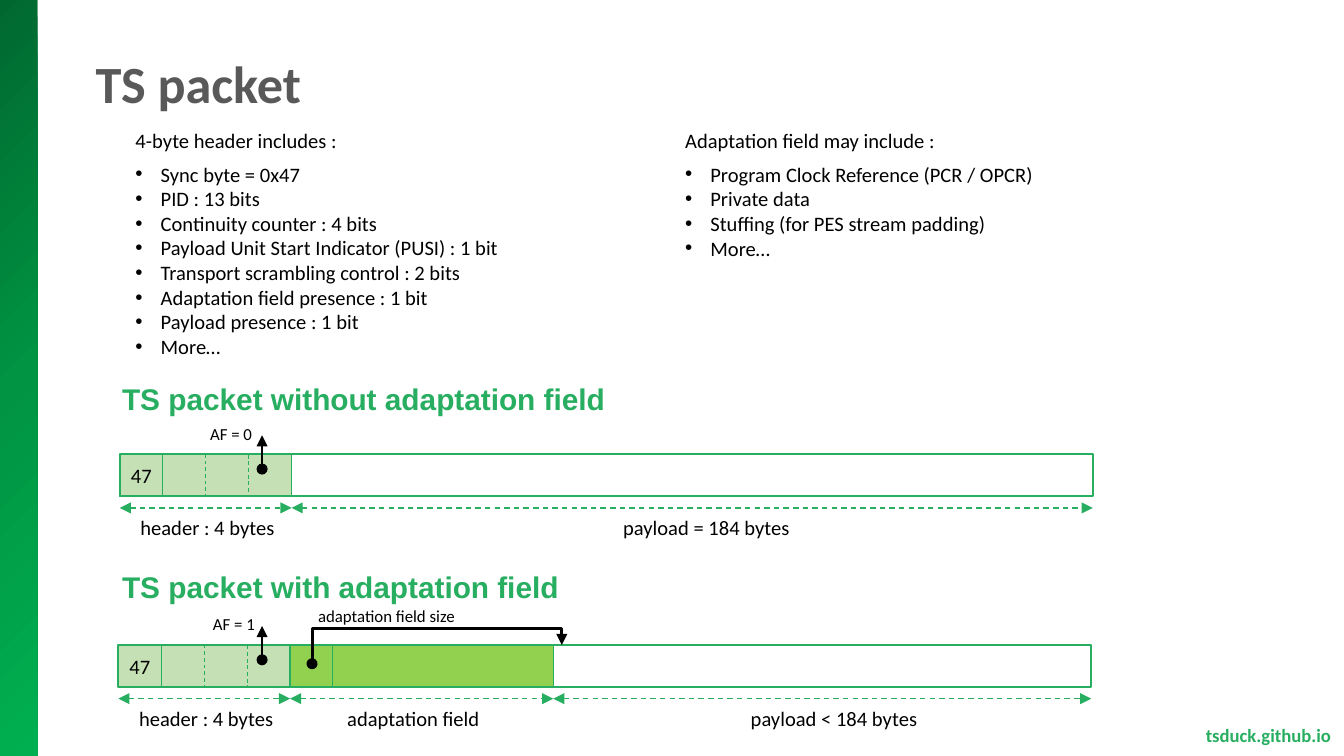
import copy
import pptx
import pptx.util
import pptx.oxml.ns
import pptx.dml.color
import pptx.enum.text
import pptx.enum.shapes
import pptx.enum.dml

Pt = pptx.util.Pt
qn = pptx.oxml.ns.qn
ALIGN = pptx.enum.text.PP_ALIGN
MID = pptx.enum.text.MSO_ANCHOR.MIDDLE
KIND = pptx.enum.shapes.MSO_CONNECTOR
RECT = pptx.enum.shapes.MSO_SHAPE.RECTANGLE
DASH = pptx.enum.dml.MSO_LINE.DASH

# Content
COLORS = {"green": "27AE60", "pale": "C5E0B4", "lime": "92D050",
          "black": "000000", "gray": "595959"}
SIDE = ["00682F", "009443", "00B050"]
TITLE = "TS packet"
SITE = "tsduck.github.io"
LISTS = [
    (65.5, 131.8, "4-byte header includes :", [
        "Sync byte = 0x47", "PID : 13 bits", "Continuity counter : 4 bits",
        "Payload Unit Start Indicator (PUSI) : 1 bit",
        "Transport scrambling control : 2 bits",
        "Adaptation field presence : 1 bit", "Payload presence : 1 bit",
        "More…"]),
    (360, 78.5, "Adaptation field may include :", [
        "Program Clock Reference (PCR / OPCR)", "Private data",
        "Stuffing (for PES stream padding)", "More…"]),
]
# Spans hold the end offset, the label, its centre and its width
PACKETS = [
    {"head": "TS packet without adaptation field", "head_y": 200.2,
     "left": 64.2, "top": 243.4, "flag": "AF = 0", "flag_x": 91.4,
     "field": False,
     "spans": [(92, "header : 4 bytes", 111.2, 113),
               (521.2, "payload = 184 bytes", 378.4, 130.3)]},
    {"head": "TS packet with adaptation field", "head_y": 301,
     "left": 63.4, "top": 345.6, "flag": "AF = 1", "flag_x": 92.9,
     "field": True,
     "spans": [(92, "header : 4 bytes", 110.5, 113),
               (233, "adaptation field", 221.4, 130.3),
               (521.2, "payload < 184 bytes", 446.8, 130.3)]},
]
CELL, HIGH, FULL = 23, 22.5, 521.2

deck = pptx.Presentation()
deck.slide_width, deck.slide_height = Pt(720), Pt(405)
slide = deck.slides.add_slide(deck.slide_layouts[5])
shapes = slide.shapes


def color(name):
    return pptx.dml.color.RGBColor.from_string(COLORS[name])


def style(para, size, ink="black", bold=False, font="Calibri", align=ALIGN.LEFT):
    para.alignment = align
    for run in para.runs:
        run.font.size, run.font.name, run.font.bold = Pt(size), font, bold
        run.font.color.rgb = color(ink)


def box(x, y, w, h, fill=None, line=0.5, dash=False):
    shape = shapes.add_shape(RECT, Pt(x), Pt(y), Pt(w), Pt(h))
    shape.shadow.inherit = False
    if fill:
        shape.fill.solid()
        shape.fill.fore_color.rgb = color(fill)
    else:
        shape.fill.background()
    shape.line.color.rgb = color("green")
    shape.line.width = Pt(line)
    if dash:
        shape.line.dash_style = DASH
    return shape


def text(x, y, w, h, words, size, pad=3.6, **look):
    frame = shapes.add_textbox(Pt(x), Pt(y), Pt(w), Pt(h)).text_frame
    frame.word_wrap = True
    frame.margin_top = frame.margin_bottom = Pt(pad)
    frame.text = words
    style(frame.paragraphs[0], size, **look)
    return frame


def arrow(x1, y1, x2, y2, ink, width, head, dash=False, kind=KIND.STRAIGHT):
    line = shapes.add_connector(kind, Pt(x1), Pt(y1), Pt(x2), Pt(y2))
    line.line.color.rgb = color(ink)
    line.line.width = Pt(width)
    if dash:
        line.line.dash_style = DASH
    ln = line.line._get_or_add_ln()
    for tag, end in (("a:headEnd", head), ("a:tailEnd", "triangle")):
        ln.append(ln.makeelement(qn(tag), {"type": end}))
    props = line._element.spPr
    props.append(props.makeelement(qn("a:effectLst"), {}))
    return line


def bullet(para):
    props = para._p.get_or_add_pPr()
    props.set("marL", str(Pt(13.5)))
    props.set("indent", str(-Pt(13.5)))
    for tag, att in (("a:buFont", {"typeface": "Arial"}),
                     ("a:buChar", {"char": "•"})):
        props.append(props.makeelement(qn(tag), att))


def packet(left, top, head, head_y, flag, flag_x, field, spans):
    text(58.3, head_y, 368.6, 26.6, head, 16, ink="green", bold=True, font="Arial")

    # Header bytes
    sync = box(left, top, CELL, HIGH, "pale")
    frame = sync.text_frame
    frame.margin_left = frame.margin_right = 0
    frame.vertical_anchor = MID
    frame.text = "47"
    style(frame.paragraphs[0], 11, align=ALIGN.CENTER)
    box(left + CELL, top, 3 * CELL, HIGH, "pale")
    box(left + 2 * CELL, top, CELL, HIGH, dash=True)

    # Adaptation field, its size byte first
    if field:
        start, end = left + spans[0][0], left + spans[1][0]
        box(start, top, CELL - 0.5, HIGH, "lime")
        box(start + CELL - 0.5, top, end - start - CELL + 0.5, HIGH, "lime")
    box(left, top, FULL, HIGH, line=1)

    # Measures below the packet
    x = left
    for stop, label, mid, wide in spans:
        y = top + 28.7
        arrow(x, y, left + stop, y, "green", 0.75, "triangle", dash=True)
        text(mid - wide / 2, top + 29.2, wide, 20.9, label, 11, align=ALIGN.CENTER)
        x = left + stop

    # Presence flag
    text(flag_x, top - 16.6, 64.8, 10.8, flag, 9, pad=0, align=ALIGN.CENTER)
    arrow(140.4, top + 7.9, 140.4, top - 10.2, "black", 1.5, "oval")

    # Size pointer
    if field:
        text(141.8, top - 24.5, 130.3, 18, "adaptation field size", 9,
             align=ALIGN.CENTER)
        bent = arrow(167.2, top + 10, 301, top, "black", 1.5, "oval",
                     kind=KIND.ELBOW)
        geom = bent._element.spPr.find(qn("a:prstGeom"))
        geom.set("prst", "bentConnector4")
        guides = geom.find(qn("a:avLst"))
        for name, val in (("adj1", 300), ("adj2", 187500)):
            guides.append(guides.makeelement(
                qn("a:gd"), {"name": name, "fmla": f"val {val}"}))


# Side band
band = box(0, 0, 20, 405)
band.line.fill.background()
band.fill.gradient()
band.fill.gradient_angle = 315
stops = band._element.spPr.find(".//" + qn("a:gsLst"))
stops.insert(1, copy.deepcopy(stops[0]))
for i, (stop, hue) in enumerate(zip(band.fill.gradient_stops, SIDE)):
    stop.position = i / 2
    stop.color.rgb = pptx.dml.color.RGBColor.from_string(hue)

# Title and site
title = shapes.title
title.left, title.top, title.width, title.height = Pt(44), Pt(18.7), Pt(596), Pt(51)
title.text_frame.text = TITLE
title.text_frame.vertical_anchor = MID
style(title.text_frame.paragraphs[0], 28, ink="gray", bold=True)
site = text(617, 383, 103, 21.6, SITE, 10, ink="green", bold=True, align=ALIGN.RIGHT)
site.vertical_anchor = MID

# Field lists
for x, high, lead, items in LISTS:
    frame = text(x, 64.8, 283.7, high, lead, 11)
    frame.paragraphs[0].space_after = Pt(5)
    for item in items:
        para = frame.add_paragraph()
        para.text = item
        bullet(para)
        style(para, 11)

# Packets
for data in PACKETS:
    packet(**data)

deck.save("out.pptx")
